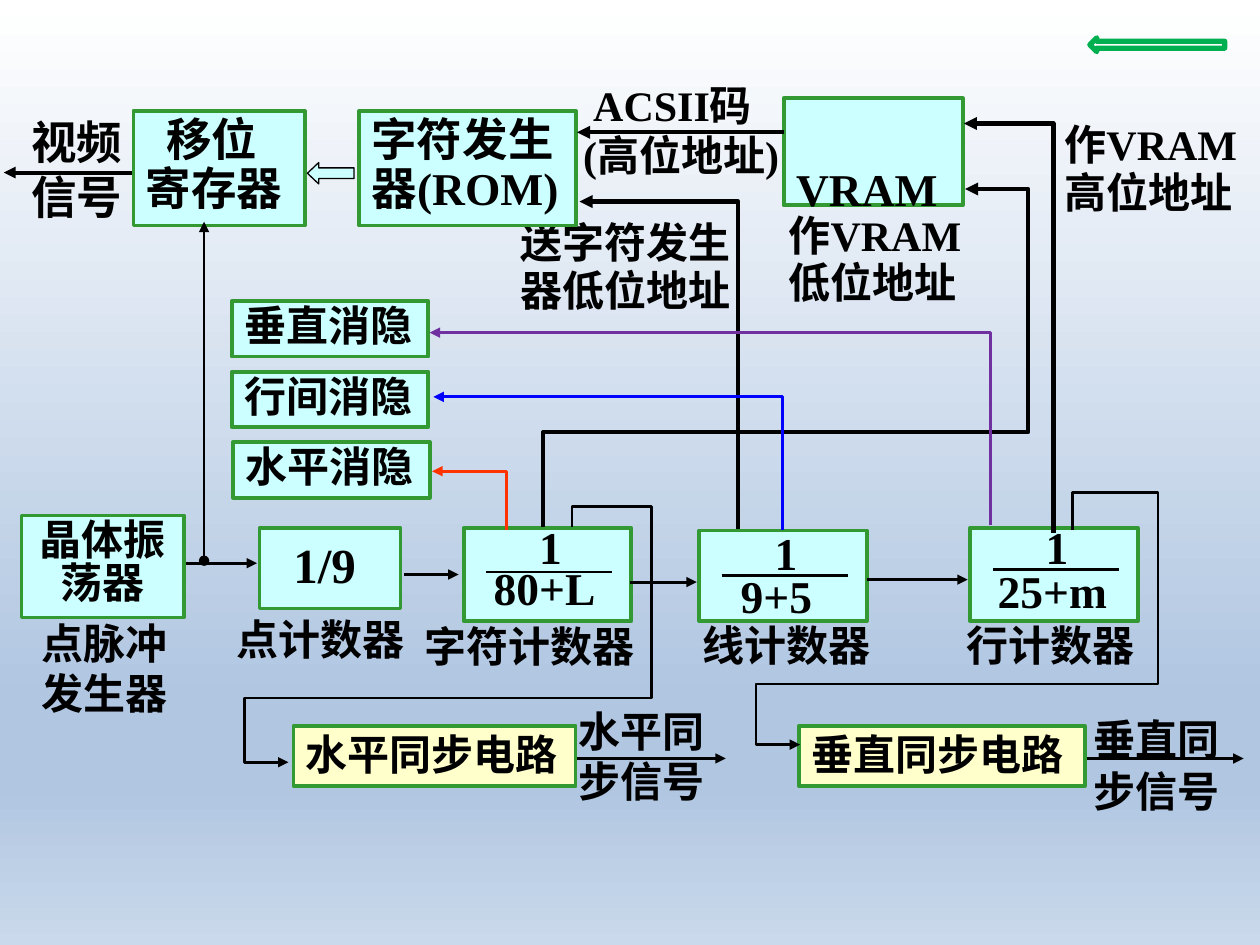
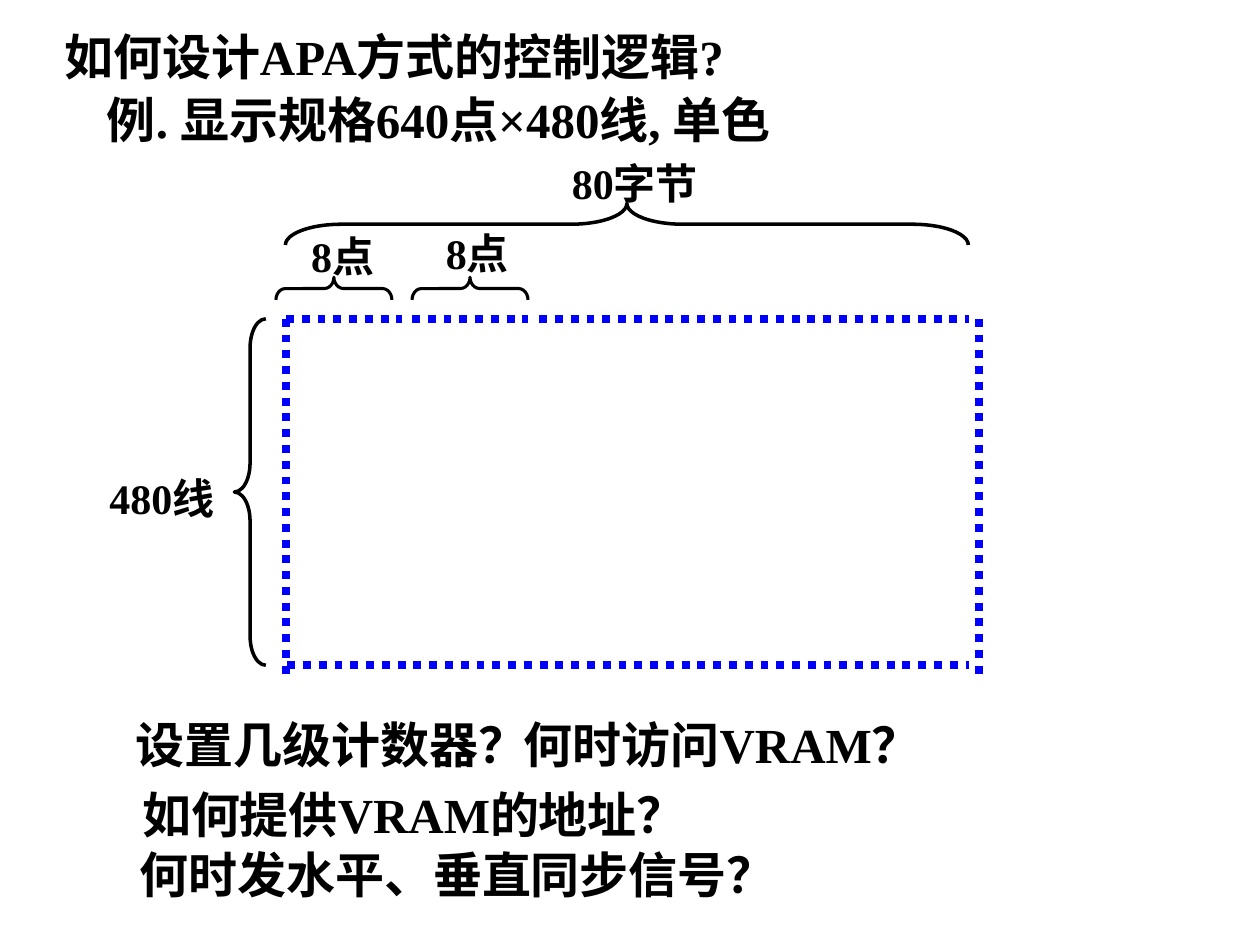
from dataclasses import dataclass
from typing import Optional

from lxml import etree
from pptx import Presentation
from pptx.dml.color import RGBColor
from pptx.enum.dml import MSO_LINE
from pptx.enum.shapes import MSO_CONNECTOR, MSO_SHAPE
from pptx.enum.text import MSO_ANCHOR, MSO_AUTO_SIZE, PP_ALIGN
from pptx.oxml.ns import qn
from pptx.util import Inches, Pt

FONT = "Times New Roman"
BLACK = RGBColor(0x00, 0x00, 0x00)
WHITE = RGBColor(0xFF, 0xFF, 0xFF)
AQUA = RGBColor(0xCC, 0xFF, 0xFF)
CREAM = RGBColor(0xFF, 0xFF, 0xCC)
GREEN = RGBColor(0x33, 0x99, 0x33)
BACK_GREEN = RGBColor(0x00, 0xB0, 0x50)
ORANGE = RGBColor(0xFF, 0x33, 0x00)
BLUE = RGBColor(0x00, 0x00, 0xFF)
PURPLE = RGBColor(0x70, 0x30, 0xA0)
SKY = RGBColor(0xB0, 0xC6, 0xE1)
PALE_SKY = RGBColor(0xCA, 0xD9, 0xEB)
SKY_STOPS = ((0, WHITE), (74, SKY), (83, SKY), (100, PALE_SKY))

RECTANGLE = MSO_SHAPE.RECTANGLE
LEFT_ARROW = MSO_SHAPE.LEFT_ARROW
LEFT_BRACE = MSO_SHAPE.LEFT_BRACE
STRAIGHT = MSO_CONNECTOR.STRAIGHT
DOTTED = MSO_LINE.ROUND_DOT
LEFT = PP_ALIGN.LEFT
CENTER = PP_ALIGN.CENTER
TOP = MSO_ANCHOR.TOP
NO_AUTOFIT = MSO_AUTO_SIZE.NONE


@dataclass
class Label:
    left: float
    top: float
    width: float
    height: float
    text: str
    size: float = 24
    spacing: float = 1.0
    indent: float = 0


@dataclass
class Block(Label):
    fill: RGBColor = AQUA
    border: float = 2.25
    align: PP_ALIGN = LEFT
    inset_top: float = 0.05


@dataclass
class Wire:
    points: tuple
    width: float = 1.75
    color: RGBColor = BLACK
    head: Optional[str] = None
    tail: Optional[str] = "triangle"
    dash: Optional[MSO_LINE] = None


@dataclass
class Counter:
    left: float
    top: float
    height: float
    divisor: str
    one_top: float
    bar_y: float
    divisor_left: float
    divisor_top: float
    spacing: float = 1.0
    border: float = 2.25


@dataclass
class Brace:
    left: float
    top: float
    width: float
    height: float
    curl: float
    line: float = 2
    rotation: float = 0


LABELS = [
    Label(4.53, 0.58, 1.96, 0.92, "ACSII码\n(高位地址)", indent=0.08),
    Label(0.23, 4.85, 1.37, 0.91, "点脉冲发生器"),
    Label(1.78, 4.82, 1.7, 0.5, "点计数器"),
    Label(3.27, 4.94, 2.04, 0.44, "字符计数器", spacing=0.85),
    Label(5.48, 4.9, 1.73, 0.48, "线计数器", spacing=0.95),
    Label(7.57, 4.9, 1.73, 0.48, "行计数器", spacing=0.95),
    Label(6.16, 1.64, 1.83, 0.86, "作VRAM低位地址", spacing=0.95),
    Label(8.35, 0.92, 1.86, 0.87, "作VRAM高位地址", spacing=0.95),
    Label(4.03, 1.7, 2.04, 0.86, "送字符发生器低位地址", spacing=0.95),
    Label(4.49, 5.55, 1.49, 0.91, "水平同步信号"),
    Label(8.58, 5.59, 1.44, 0.94, "垂直同步信号", spacing=1.05),
    Label(0.15, 0.86, 0.93, 0.97, "视频信号", size=26),
]
BLOCKS = [
    Block(0.17, 4.09, 1.29, 0.81, "晶体振荡器", spacing=0.85, border=2, align=CENTER),
    Block(2.06, 4.19, 1.12, 0.64, "1/9", size=28, indent=0.17, border=2),
    Block(2.33, 5.76, 2.24, 0.48, "水平同步电路", spacing=0.95, fill=CREAM, border=2),
    Block(6.34, 5.76, 2.27, 0.48, "垂直同步电路", spacing=0.95, fill=CREAM, border=2),
    Block(1.06, 0.88, 1.36, 0.91, "移位\n寄存器", size=26, spacing=0.9, indent=0.16),
    Block(2.85, 0.88, 1.72, 0.91, "字符发生器(ROM)", size=26, spacing=0.9),
    Block(6.22, 0.78, 1.42, 0.85, "VRAM", size=26, inset_top=0.5),
    Block(1.84, 2.39, 1.56, 0.44, "垂直消隐", spacing=0.85),
    Block(1.84, 2.95, 1.56, 0.44, "行间消隐", spacing=0.85),
    Block(1.85, 3.51, 1.56, 0.44, "水平消隐", spacing=0.85),
]
COUNTERS = [
    Counter(3.68, 4.19, 0.74, "80+L", 4.14, 4.54, 3.82, 4.46, spacing=0.85),
    Counter(5.55, 4.21, 0.72, "9+5", 4.12, 4.57, 5.78, 4.46, border=2),
    Counter(7.7, 4.19, 0.74, "25+m", 4.07, 4.52, 7.82, 4.42),
]
WIRES = [
    Wire(((1.48, 4.47), (2.04, 4.47))),
    Wire(((3.21, 4.56), (3.64, 4.56))),
    Wire(((5, 4.62), (5.53, 4.62))),
    Wire(((6.88, 4.6), (7.68, 4.6))),
    Wire(((4.58, 6.02), (5.76, 6.02))),
    Wire(((8.63, 6.02), (9.87, 6.02))),
    Wire(((1.05, 1.37), (0.03, 1.37)), 2.25),
    Wire(((6.22, 1.05), (4.58, 1.05)), 2.5),
    Wire(((1.62, 4.45), (1.62, 1.76)), 1.5, head="oval"),
    Wire(((8.51, 4.21), (8.51, 3.91), (9.19, 3.91), (9.19, 5.43),
          (6, 5.43), (6, 5.91), (6.35, 5.91)), 1.6),
    Wire(((8.36, 4.23), (8.36, 0.98), (7.65, 0.98)), 2.5),
    Wire(((5.86, 4.2), (5.86, 1.6), (4.6, 1.6)), 2.5),
    Wire(((4.31, 4.18), (4.31, 3.43), (8.16, 3.43), (8.16, 1.5), (7.66, 1.5)), 2.5),
    Wire(((4.02, 4.21), (4.02, 3.74), (3.43, 3.74)), 1.6, ORANGE),
    Wire(((6.21, 4.21), (6.21, 3.15), (3.44, 3.15)), 1.6, BLUE),
    Wire(((7.86, 4.17), (7.86, 2.64), (3.41, 2.64)), 1.6, PURPLE),
    Wire(((4.54, 4.18), (4.54, 4.02), (5.17, 4.02), (5.17, 5.54),
          (1.94, 5.54), (1.94, 6.05), (2.29, 6.05)), 1.6),
]

TITLE = Label(0.41, 0.16, 6.59, 0.57, "如何设计APA方式的控制逻辑?", size=28)
APA_LABELS = [
    Label(0.75, 0.66, 6.84, 0.57, "例. 显示规格640点×480线, 单色", size=28),
    Label(4.44, 1.2, 1.75, 0.5, "80字节"),
    Label(2.37, 1.78, 0.78, 0.5, "8点"),
    Label(3.44, 1.76, 0.82, 0.5, "8点"),
    Label(0.77, 3.7, 1.33, 0.5, "480线"),
    Label(0.98, 5.62, 3.75, 0.57, "设置几级计数器？", size=28),
    Label(4.06, 5.62, 3.75, 0.57, "何时访问VRAM？", size=28),
    Label(1.03, 6.18, 6.33, 0.57, "如何提供VRAM的地址？", size=28),
    Label(1.01, 6.65, 6.33, 0.57, "何时发水平、垂直同步信号？", size=28),
]
BRACES = [
    Brace(2.56, 1.83, 0.18, 0.92, 0.42, line=1.75, rotation=90),
    Brace(3.64, 1.83, 0.18, 0.92, 0.42, line=1.75, rotation=90),
    Brace(4.81, -0.93, 0.33, 5.42, 1.35, rotation=90),
    Brace(1.86, 2.53, 0.25, 2.75, 0.92),
]
SCREEN_EDGES = [
    ((2.27, 2.53), (3.19, 2.53)),
    ((3.27, 2.53), (4.19, 2.53)),
    ((4.28, 2.53), (7.69, 2.53)),
    ((2.28, 5.28), (7.69, 5.28)),
    ((2.27, 2.53), (2.27, 5.37)),
    ((7.77, 2.53), (7.77, 5.37)),
]


def write_text(frame, text: str, *, size: float = 24, spacing: float = 1.0,
               indent: float = 0, align=LEFT, inset_top: float = 0.05) -> None:
    frame.word_wrap = True
    frame.auto_size = NO_AUTOFIT
    frame.vertical_anchor = TOP
    frame.margin_left = frame.margin_right = Inches(0.1)
    frame.margin_top = Inches(inset_top)
    frame.margin_bottom = Inches(0)
    for index, line in enumerate(text.split("\n")):
        paragraph = frame.add_paragraph() if index else frame.paragraphs[0]
        paragraph.alignment = align
        paragraph.line_spacing = spacing
        paragraph.space_before = Pt(0)
        if indent and index == 0:
            paragraph._p.get_or_add_pPr().set("marL", str(Inches(indent)))
        run = paragraph.add_run()
        run.text = line
        run.font.name = FONT
        run.font.size = Pt(size)
        run.font.bold = True
        run.font.color.rgb = BLACK


def frame_of(item) -> tuple:
    return tuple(Inches(v) for v in (item.left, item.top, item.width, item.height))


def add_label(slide, label: Label) -> None:
    caption = slide.shapes.add_textbox(*frame_of(label))
    write_text(caption.text_frame, label.text, size=label.size,
               spacing=label.spacing, indent=label.indent)


def add_outlined(slide, kind, frame: tuple, *, fill: Optional[RGBColor] = None,
                 color: RGBColor = BLACK, width: float = 2.25):
    outlined = slide.shapes.add_shape(kind, *frame)
    outlined.shadow.inherit = False
    if fill is None:
        outlined.fill.background()
    else:
        outlined.fill.solid()
        outlined.fill.fore_color.rgb = fill
    outlined.line.color.rgb = color
    outlined.line.width = Pt(width)
    return outlined


def add_block(slide, block: Block) -> None:
    box = add_outlined(slide, RECTANGLE, frame_of(block), fill=block.fill,
                       color=GREEN, width=block.border)
    write_text(box.text_frame, block.text, size=block.size, spacing=block.spacing,
               indent=block.indent, align=block.align, inset_top=block.inset_top)


def add_wire(slide, wire: Wire) -> None:
    points = [(Inches(x), Inches(y)) for x, y in wire.points]
    if len(points) == 2:
        path = slide.shapes.add_connector(STRAIGHT, *points[0], *points[1])
    else:
        builder = slide.shapes.build_freeform(*points[0])
        builder.add_line_segments(points[1:], close=False)
        path = builder.convert_to_shape()
        path.fill.background()
    path.line.color.rgb = wire.color
    path.line.width = Pt(wire.width)
    if wire.dash is not None:
        path.line.dash_style = wire.dash
    properties = path.element.spPr
    outline = properties.find(qn("a:ln"))
    for end, kind in (("a:headEnd", wire.head), ("a:tailEnd", wire.tail)):
        if kind:
            etree.SubElement(outline, qn(end), type=kind)
    etree.SubElement(properties, qn("a:effectLst"))


def add_counter(slide, counter: Counter) -> None:
    frame = tuple(Inches(v) for v in (counter.left, counter.top, 1.33, counter.height))
    add_outlined(slide, RECTANGLE, frame, fill=AQUA, color=GREEN, width=counter.border)
    add_label(slide, Label(counter.left + 0.5, counter.one_top, 0.57, 0.5, "1",
                           size=26, spacing=counter.spacing))
    bar_left = counter.left + 0.18
    add_wire(slide, Wire(((bar_left, counter.bar_y), (bar_left + 1, counter.bar_y)),
                         1.5, tail=None))
    add_label(slide, Label(counter.divisor_left, counter.divisor_top, 1.22, 0.5,
                           counter.divisor, size=26, spacing=counter.spacing))


def add_brace(slide, brace: Brace) -> None:
    bracket = add_outlined(slide, LEFT_BRACE, frame_of(brace), width=brace.line)
    bracket.adjustments[0] = brace.curl
    bracket.rotation = brace.rotation


def paint_sky(slide) -> None:
    fill = slide.background.fill
    fill.gradient()
    fill.gradient_angle = 270
    stops = slide.element.find(".//" + qn("a:gsLst"))
    for stop in list(stops):
        stops.remove(stop)
    for percent, color in SKY_STOPS:
        stop = etree.SubElement(stops, qn("a:gs"), pos=str(percent * 1000))
        etree.SubElement(stop, qn("a:srgbClr"), val=str(color))


def build_character_logic(deck) -> None:
    slide = deck.slides.add_slide(deck.slide_layouts[6])
    paint_sky(slide)
    for label in LABELS:
        add_label(slide, label)
    for block in BLOCKS:
        add_block(slide, block)
    for counter in COUNTERS:
        add_counter(slide, counter)
    for wire in WIRES:
        add_wire(slide, wire)
    data_arrow = add_outlined(
        slide, LEFT_ARROW, tuple(map(Inches, (2.44, 1.29, 0.37, 0.17))),
        fill=AQUA, width=0.75)
    data_arrow.adjustments[1] = 0.53
    add_outlined(slide, LEFT_ARROW, tuple(map(Inches, (8.65, 0.3, 1.07, 0.11))),
                 color=BACK_GREEN, width=3)


def build_apa_question(deck) -> None:
    slide = deck.slides.add_slide(deck.slide_layouts[5])
    slide.background.fill.solid()
    slide.background.fill.fore_color.rgb = WHITE
    title = slide.shapes.title
    title.left, title.top, title.width, title.height = frame_of(TITLE)
    write_text(title.text_frame, TITLE.text, size=TITLE.size)
    for label in APA_LABELS:
        add_label(slide, label)
    for edge in SCREEN_EDGES:
        add_wire(slide, Wire(edge, 4.5, BLUE, tail=None, dash=DOTTED))
    for brace in BRACES:
        add_brace(slide, brace)


def main() -> None:
    deck = Presentation()
    deck.slide_width = Inches(10)
    deck.slide_height = Inches(7.5)
    build_character_logic(deck)
    build_apa_question(deck)
    deck.save("out.pptx")


if __name__ == "__main__":
    main()
